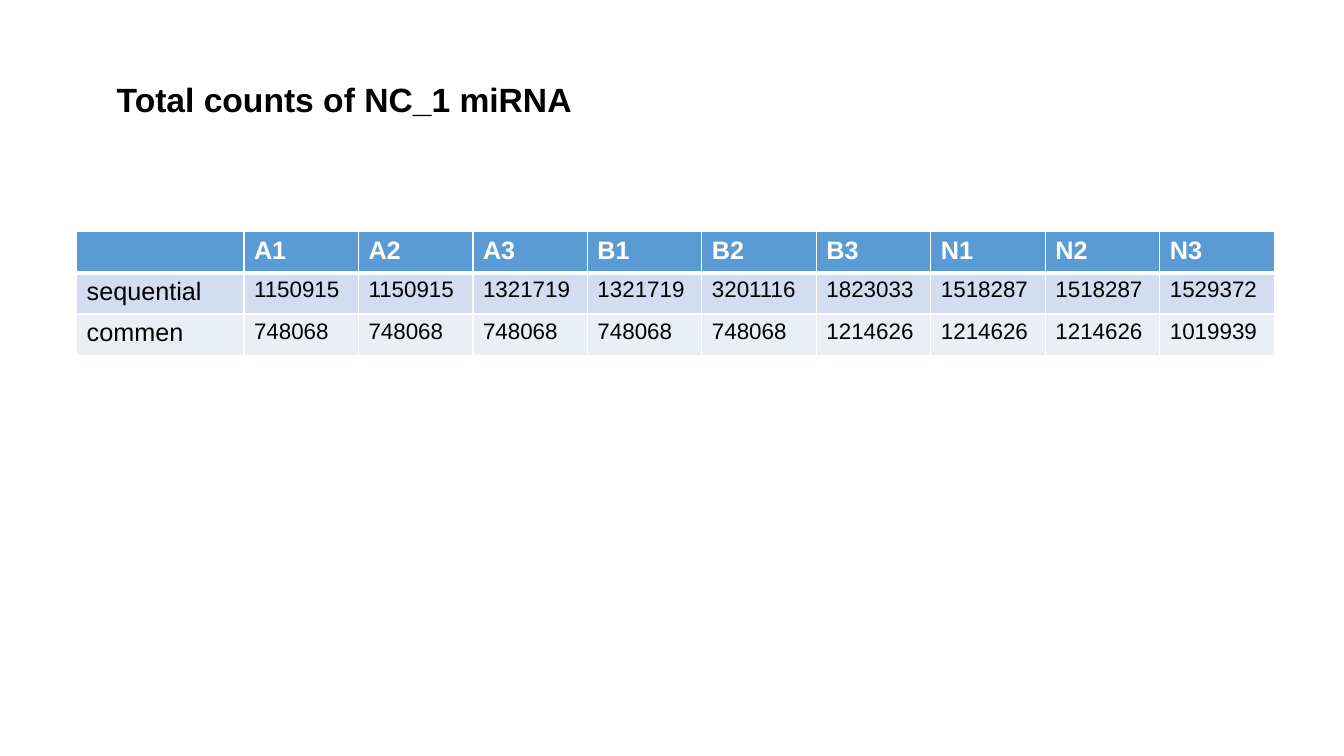
import pptx
import pptx.dml.color
import pptx.enum.text
import pptx.oxml.ns
import pptx.util
from dataclasses import dataclass
from lxml import etree

Inches, Pt = pptx.util.Inches, pptx.util.Pt

HEADING = "Total counts of NC_1 miRNA"
SAMPLES = ["A1", "A2", "A3", "B1", "B2", "B3", "N1", "N2", "N3"]
COUNTS = {
    "sequential": [1150915, 1150915, 1321719, 1321719, 3201116,
                   1823033, 1518287, 1518287, 1529372],
    "commen": [748068, 748068, 748068, 748068, 748068,
               1214626, 1214626, 1214626, 1019939],
}


@dataclass(frozen=True)
class Theme:
    """Font, colours and type sizes of the slide."""
    font: str = "Arial"
    ink: str = "000000"
    white: str = "FFFFFF"
    header: str = "5B9BD5"
    bands: tuple = ("D2DEEF", "EAEFF7")
    heading_size: int = 24
    label_size: int = 18
    count_size: int = 16
    rule: int = 1
    header_rule: int = 3


THEME = Theme()


def style_text(paragraph, size, color, bold=False):
    """Format every run of a paragraph."""
    for run in paragraph.runs:
        run.font.name = THEME.font
        run.font.size = Pt(size)
        run.font.bold = bold
        run.font.color.rgb = pptx.dml.color.RGBColor.from_string(color)


def set_borders(cell, top, bottom):
    """Draw white borders, with the given top and bottom widths in points."""
    properties = cell._tc.get_or_add_tcPr()
    widths = {"a:lnL": THEME.rule, "a:lnR": THEME.rule, "a:lnT": top, "a:lnB": bottom}
    qn = pptx.oxml.ns.qn
    for position, (side, width) in enumerate(widths.items()):
        line = etree.Element(qn(side), w=str(Pt(width)))
        fill = etree.SubElement(line, qn("a:solidFill"))
        etree.SubElement(fill, qn("a:srgbClr"), val=THEME.white)
        properties.insert(position, line)


def add_heading(slide):
    """Add the slide heading."""
    box = slide.shapes.add_textbox(Inches(1.06), Inches(0.73), Inches(4.76), Inches(0.5))
    box.text_frame.text = HEADING
    box.text_frame.word_wrap = False
    box.text_frame.auto_size = pptx.enum.text.MSO_AUTO_SIZE.SHAPE_TO_FIT_TEXT
    style_text(box.text_frame.paragraphs[0], THEME.heading_size, THEME.ink, bold=True)


def add_counts(slide):
    """Add the table of counts by sample."""
    rows = [["", *SAMPLES]] + [[label, *counts] for label, counts in COUNTS.items()]
    width, label_width = 11.88, 1.66
    header_height, band_height = 0.39, 0.41
    height = header_height + band_height * len(COUNTS)
    table = slide.shapes.add_table(len(rows), len(rows[0]), Inches(0.76), Inches(2.3),
                                   Inches(width), Inches(height)).table
    for c, column in enumerate(table.columns):
        column.width = Inches((width - label_width) / len(SAMPLES) if c else label_width)
    for r, values in enumerate(rows):
        is_header = r == 0
        table.rows[r].height = Inches(header_height if is_header else band_height)
        background = THEME.header if is_header else THEME.bands[(r - 1) % 2]
        top = THEME.header_rule if r == 1 else THEME.rule
        bottom = THEME.header_rule if is_header else THEME.rule
        for c, value in enumerate(values):
            cell = table.cell(r, c)
            cell.text_frame.text = str(value)
            cell.fill.solid()
            cell.fill.fore_color.rgb = pptx.dml.color.RGBColor.from_string(background)
            set_borders(cell, top, bottom)
            size = THEME.label_size if is_header or c == 0 else THEME.count_size
            style_text(cell.text_frame.paragraphs[0], size,
                       THEME.white if is_header else THEME.ink, bold=is_header)


def main():
    """Build and save the slide."""
    deck = pptx.Presentation()
    deck.slide_width, deck.slide_height = Inches(13.33), Inches(7.5)
    slide = deck.slides.add_slide(deck.slide_layouts[6])
    add_counts(slide)
    add_heading(slide)
    deck.save("out.pptx")


main()
